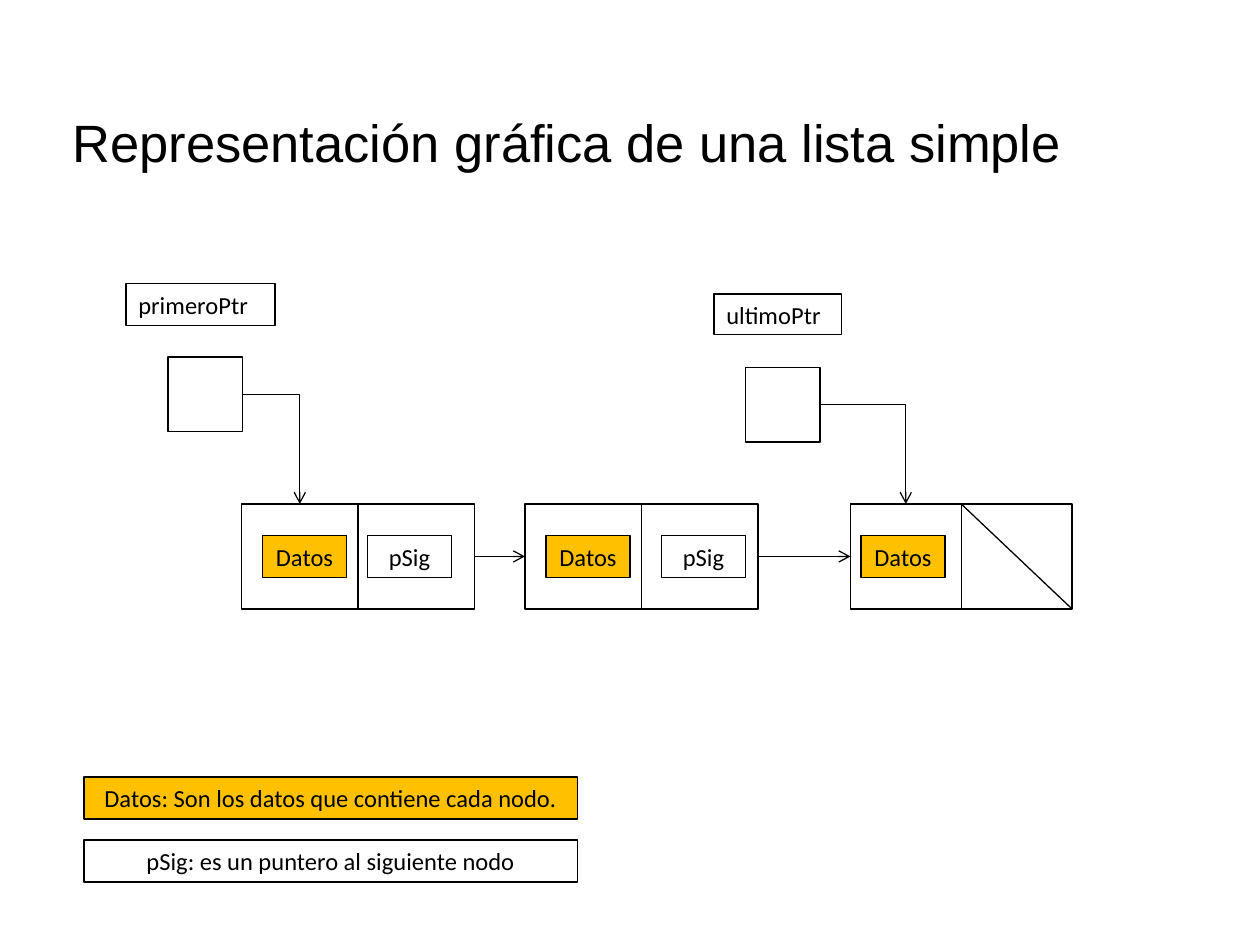
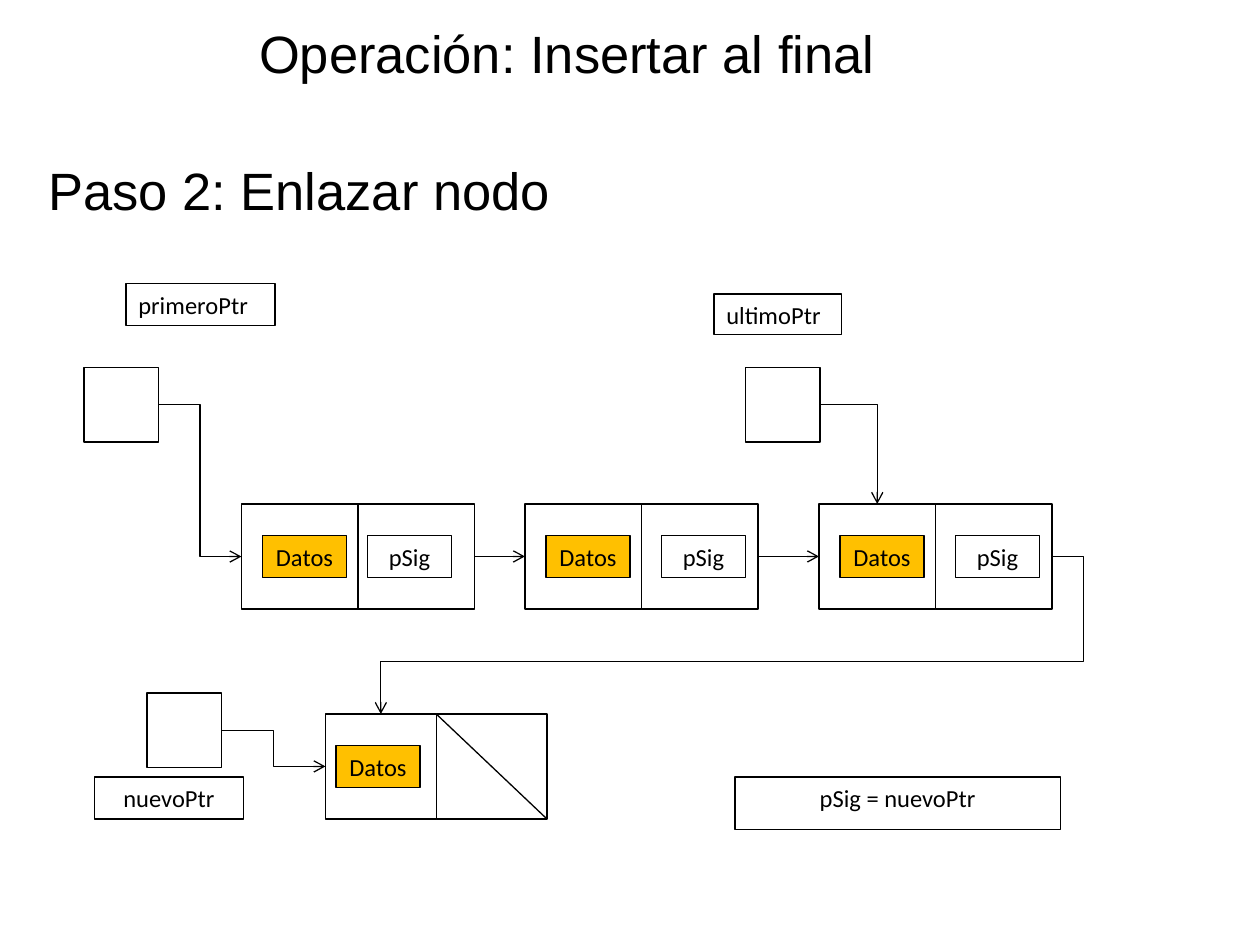
import pptx
import pptx.util
import pptx.dml.color
import pptx.enum.shapes
import pptx.enum.text
import pptx.oxml.ns
from lxml import etree

BLACK = pptx.dml.color.RGBColor(0, 0, 0)
WHITE = pptx.dml.color.RGBColor(255, 255, 255)
GOLD = pptx.dml.color.RGBColor(255, 192, 0)
ALIGN = pptx.enum.text.PP_ALIGN
LINKS = pptx.enum.shapes.MSO_CONNECTOR
TOP, LEFT, RIGHT = 0, 1, 3  # connection sites of a rectangle


def unit(count):
    """Length of a number of grid steps, twelve to the inch."""
    return pptx.util.Inches(count / 12)


def spot(box, site):
    """Point of a rectangle's connection site."""
    across, down = {TOP: (0.5, 0), LEFT: (0, 0.5), RIGHT: (1, 0.5)}[site]
    return (box.left + int(box.width * across),
            box.top + int(box.height * down))


class Deck:
    """Slides on a grid of 120 columns by 90 rows."""

    def __init__(self):
        self.file = pptx.Presentation()
        self.file.slide_width = unit(120)
        self.file.slide_height = unit(90)
        self.slide = None

    def page(self):
        self.slide = self.file.slides.add_slide(self.file.slide_layouts[6])

    def label(self, frame, text, size, font, align):
        frame.word_wrap = True
        par = frame.paragraphs[0]
        par.text = text
        par.alignment = align
        par.font.size = pptx.util.Pt(size)
        par.font.name = font
        par.font.color.rgb = BLACK
        return par

    def title(self, text, row, width, height):
        box = self.slide.shapes.add_textbox(
            0, unit(row), unit(width), unit(height))
        box.text_frame.vertical_anchor = pptx.enum.text.MSO_ANCHOR.MIDDLE
        self.label(box.text_frame, text, 30, "Arial", ALIGN.CENTER)

    def box(self, col, row, width, height, text="", fill=WHITE,
            align=ALIGN.CENTER):
        shape = self.slide.shapes.add_shape(
            pptx.enum.shapes.MSO_SHAPE.RECTANGLE,
            unit(col), unit(row), unit(width), unit(height))
        shape.shadow.inherit = False
        shape.fill.solid()
        shape.fill.fore_color.rgb = fill
        self.ink(shape)
        if text:
            shape.text_frame.vertical_anchor = pptx.enum.text.MSO_ANCHOR.TOP
            par = self.label(shape.text_frame, text, 14, "Calibri", align)
            par.space_after = pptx.util.Pt(10)
        return shape

    def ink(self, shape):
        shape.line.color.rgb = BLACK
        shape.line.width = pptx.util.Pt(0.75)

    def line(self, kind, start, end):
        link = self.slide.shapes.add_connector(kind, *start, *end)
        self.ink(link)
        etree.SubElement(link._element.spPr, pptx.oxml.ns.qn("a:effectLst"))
        return link

    def arrow(self, start, end, site=LEFT, bend=3, turns=()):
        """Elbow arrow from the right of one box to a site of another."""
        link = self.line(LINKS.ELBOW, spot(start, RIGHT), spot(end, site))
        link.begin_connect(start, RIGHT)
        link.end_connect(end, site)
        props = link._element.spPr
        geom = props.find(pptx.oxml.ns.qn("a:prstGeom"))
        geom.set("prst", f"bentConnector{bend}")
        for num, turn in enumerate(turns, 1):
            etree.SubElement(geom.find(pptx.oxml.ns.qn("a:avLst")),
                             pptx.oxml.ns.qn("a:gd"),
                             name=f"adj{num}", fmla=f"val {turn}")
        etree.SubElement(props.find(pptx.oxml.ns.qn("a:ln")),
                         pptx.oxml.ns.qn("a:tailEnd"), type="arrow")

    def cell(self, col, row):
        """Empty square that stands for a pointer."""
        return self.box(col, row, 7.1, 7.1)

    def pair(self, col, row, width):
        return [self.box(col + i * width, row, width, 10) for i in (0, 1)]

    def node(self, col, row, gap=13):
        """Node with data and a pointer that starts gap columns in."""
        both = self.pair(col, row, 11.1)
        self.box(col + 2, row + 3, 8, 4, "Datos", GOLD)
        self.box(col + gap, row + 3, 8, 4, "pSig")
        return both

    def last(self, col, row):
        """Node whose pointer is null, struck by a diagonal."""
        both = self.pair(col, row, 10.55)
        null = both[1]
        self.line(LINKS.STRAIGHT, (null.left, null.top),
                  (null.left + null.width, null.top + null.height))
        self.box(col + 1, row + 3, 8, 4, "Datos", GOLD)
        return both

    def chain(self, end, col):
        """Three linked nodes; end draws the third. Gives first and third."""
        nodes = [self.node(23, 48, 12), self.node(50, 48), end(col, 48)]
        for here, then in zip(nodes, nodes[1:]):
            self.arrow(here[1], then[0])
        return nodes[0], nodes[2]

    def names(self):
        self.box(12, 27, 14.2, 4, "primeroPtr", align=ALIGN.LEFT)
        self.box(68, 28, 12.15, 3.85, "ultimoPtr", align=ALIGN.LEFT)


def simple(deck):
    deck.page()
    deck.title("Representación gráfica de una lista simple", 5, 108, 17)
    deck.names()
    head, tail = deck.cell(16, 34), deck.cell(71, 35)
    first, third = deck.chain(deck.last, 81)
    deck.arrow(head, first[0], TOP, 2)
    deck.arrow(tail, third[0], TOP, 2)
    deck.box(8, 74, 47, 4, "Datos: Son los datos que contiene cada nodo.", GOLD)
    deck.box(8, 80, 47, 4, "pSig: es un puntero al siguiente nodo")


def insert(deck):
    deck.page()
    deck.title("Operación: Insertar al final", 0, 108, 10)
    deck.title("Paso 2: Enlazar nodo", 13, 57, 10)
    deck.names()
    head, tail, new = deck.cell(8, 35), deck.cell(71, 35), deck.cell(14, 66)
    first, third = deck.chain(deck.node, 78)
    added = deck.last(31, 68)
    deck.arrow(head, first[0])
    deck.arrow(tail, third[0], TOP, 2)
    deck.arrow(new, added[0])
    deck.arrow(third[1], added[0], TOP, 4, (-4700, 66700))
    deck.box(9, 74, 14.2, 4, "nuevoPtr")
    deck.box(70, 74, 31, 5, "pSig = nuevoPtr")


def main():
    deck = Deck()
    simple(deck)
    insert(deck)
    deck.file.save("out.pptx")


if __name__ == "__main__":
    main()
